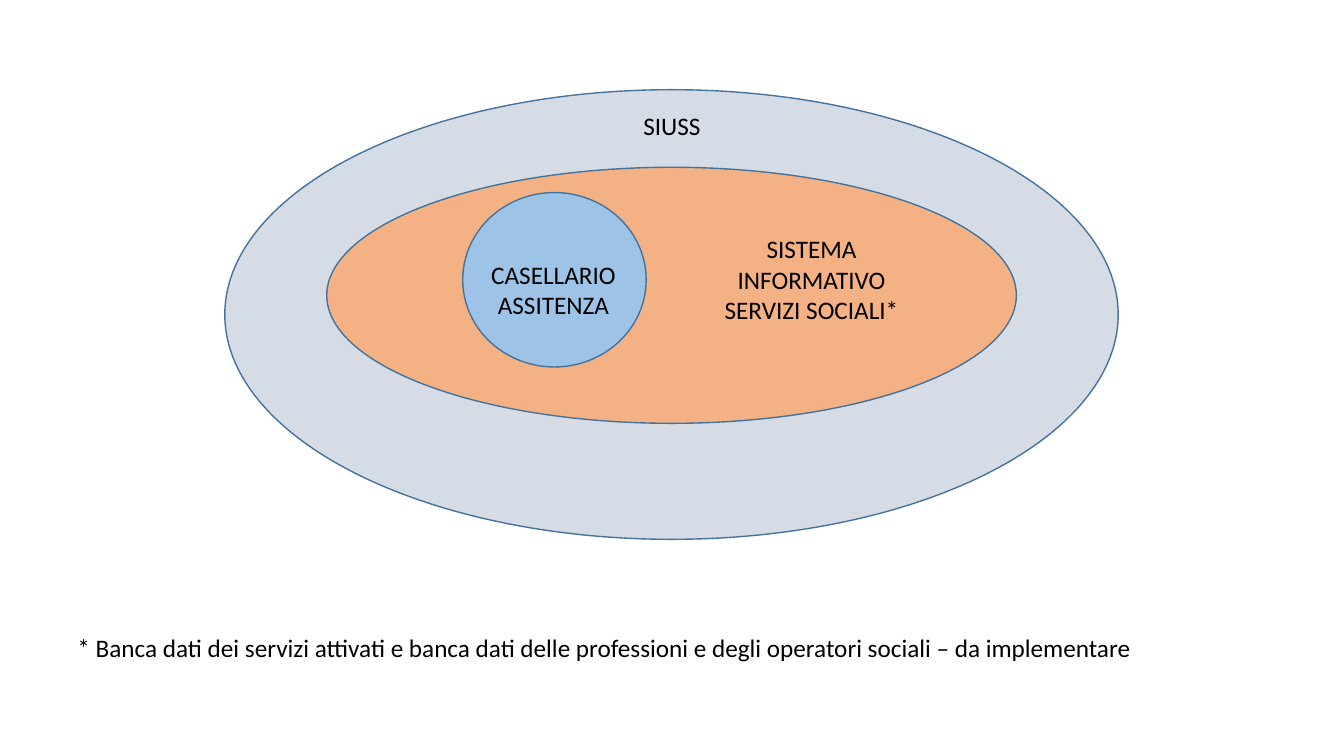
from dataclasses import dataclass

from pptx import Presentation
from pptx.dml.color import RGBColor
from pptx.enum.shapes import MSO_SHAPE
from pptx.enum.text import MSO_AUTO_SIZE, PP_ALIGN
from pptx.slide import Slide
from pptx.util import Inches, Pt

WIDTH, HEIGHT = 13.33, 7.5
FONT = "Calibri"
COLORS = {
    "siuss": "D6DCE5",
    "sistema": "F4B183",
    "casellario": "9DC3E6",
    "outline": "43739E",
    "text": "000000",
}


@dataclass(frozen=True)
class Box:
    left: float
    top: float
    width: float
    height: float

    def emu(self) -> tuple[int, int, int, int]:
        return (
            Inches(WIDTH * self.left / 100),
            Inches(HEIGHT * self.top / 100),
            Inches(WIDTH * self.width / 100),
            Inches(HEIGHT * self.height / 100),
        )


@dataclass(frozen=True)
class Ellipse:
    box: Box
    fill: str


@dataclass(frozen=True)
class Label:
    box: Box
    text: str
    align: PP_ALIGN = PP_ALIGN.CENTER
    wrap: bool = True


ELLIPSES = [
    Ellipse(Box(16.73, 11.87, 66.47, 59.47), "siuss"),
    Ellipse(Box(24.31, 22.13, 51.31, 33.87), "sistema"),
    Ellipse(Box(34.43, 25.47, 13.65, 23.07), "casellario"),
]
LABELS = [
    Label(Box(44.56, 13.87, 10.88, 5.33), "SIUSS"),
    Label(Box(34.28, 33.6, 13.8, 9.47), "CASELLARIO ASSITENZA"),
    Label(Box(53.11, 30.27, 14.55, 13.47), "SISTEMA INFORMATIVO SERVIZI SOCIALI*"),
    Label(
        Box(5.03, 82.93, 80.95, 5.33),
        "* Banca dati dei servizi attivati e banca dati delle professioni "
        "e degli operatori sociali – da implementare",
        PP_ALIGN.LEFT,
        False,
    ),
]


def color(name: str) -> RGBColor:
    return RGBColor.from_string(COLORS[name])


def draw_ellipse(s: Slide, ellipse: Ellipse) -> None:
    sp = s.shapes.add_shape(MSO_SHAPE.OVAL, *ellipse.box.emu())
    sp.shadow.inherit = False
    sp.fill.solid()
    sp.fill.fore_color.rgb = color(ellipse.fill)
    sp.line.color.rgb = color("outline")
    sp.line.width = Pt(1)


def draw_label(s: Slide, label: Label) -> None:
    tf = s.shapes.add_textbox(*label.box.emu()).text_frame
    tf.text = label.text
    tf.word_wrap = label.wrap
    tf.auto_size = MSO_AUTO_SIZE.SHAPE_TO_FIT_TEXT
    p = tf.paragraphs[0]
    p.alignment = label.align
    r = p.runs[0]
    r.font.name = FONT
    r.font.size = Pt(18)
    r.font.color.rgb = color("text")


def main() -> None:
    prs = Presentation()
    prs.slide_width, prs.slide_height = Inches(WIDTH), Inches(HEIGHT)
    s = prs.slides.add_slide(prs.slide_layouts[6])
    for ellipse in ELLIPSES:
        draw_ellipse(s, ellipse)
    for label in LABELS:
        draw_label(s, label)
    prs.save("out.pptx")


if __name__ == "__main__":
    main()
